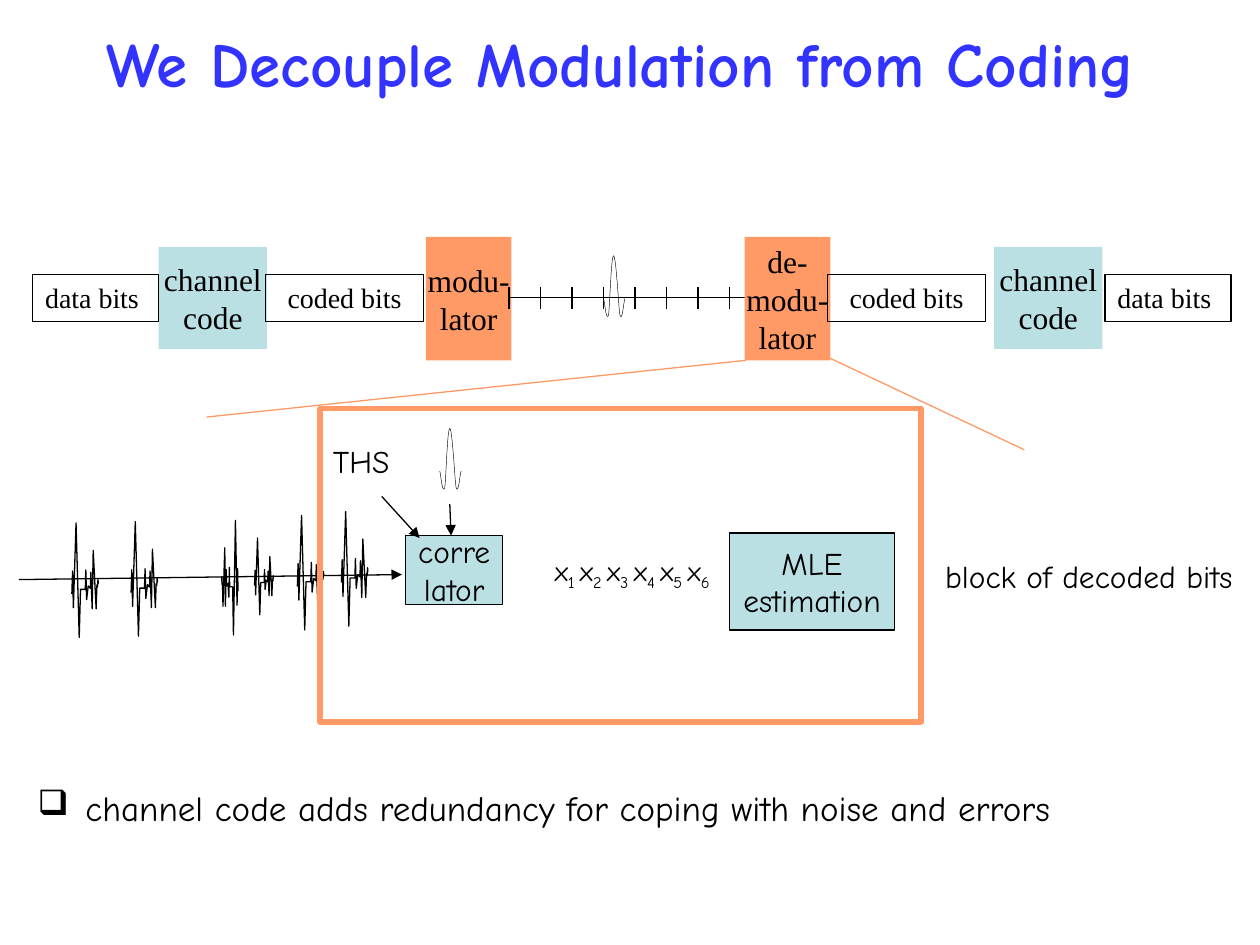
from dataclasses import dataclass

import lxml.etree
import pptx
import pptx.dml.color
import pptx.enum.shapes
import pptx.enum.text
import pptx.oxml.ns
import pptx.util

PX = 9144  # EMU per px, 100 px to the inch
BLACK = pptx.dml.color.RGBColor(0x00, 0x00, 0x00)
BLUE = pptx.dml.color.RGBColor(0x33, 0x33, 0xFF)
TEAL = pptx.dml.color.RGBColor(0xBB, 0xE0, 0xE3)
ORANGE = pptx.dml.color.RGBColor(0xFF, 0x99, 0x66)
COMIC, TIMES = "Comic Neue", "Times New Roman"
LEFT, CENTER, RIGHT = (getattr(pptx.enum.text.PP_ALIGN, n) for n in ("LEFT", "CENTER", "RIGHT"))
TOP, MIDDLE = (getattr(pptx.enum.text.MSO_ANCHOR, n) for n in ("TOP", "MIDDLE"))
qn = pptx.oxml.ns.qn

# Received burst, in percent of its box
BURST = list(zip(
    (0, 3, 6, 16, 28, 33, 51, 53, 56, 62, 70, 72, 77, 81, 92, 95, 97, 99, 100),
    (62, 42, 74, 0, 100, 58, 58, 41, 67, 55, 57, 43, 75, 24, 75, 54, 56, 49, 53)))
# Pulse as Bezier control points in px; each segment starts where the last one ends
PULSE = [(0, 34), (1, 36), (2, 53), (4, 47), (5, 41), (6, 0), (8, 0),
         (10, 0), (12, 41), (13, 47), (15, 53), (16, 36), (17, 34)]


@dataclass
class Box:
    text: str
    x: int
    y: int
    w: int
    h: int
    fill: object = None
    line: object = None
    width: float = 0.75
    font: str = TIMES
    size: int = 18
    align: object = CENTER
    anchor: object = MIDDLE
    wrap: bool = False


@dataclass
class Line:
    x1: int
    y1: int
    x2: int
    y2: int
    color: object = BLACK
    arrow: bool = False


@dataclass
class Burst:
    x: int
    y: int
    w: int = 21
    h: int = 91
    mirrored: bool = False


def set_all(obj, values: dict) -> None:
    for name, value in values.items():
        setattr(obj, name, value)


def style_run(r, font: str, size: int, color=BLACK, bold: bool = False) -> None:
    set_all(r.font, {"name": font, "size": pptx.util.Pt(size), "bold": bold})
    r.font.color.rgb = color


def place(sp, x: int, y: int, w: int, h: int) -> None:
    set_all(sp, {"left": x * PX, "top": y * PX, "width": w * PX, "height": h * PX})


def set_line(line, color, width: float) -> None:
    line.color.rgb = color
    line.width = pptx.util.Pt(width)


def draw_box(s, b: Box):
    area = [v * PX for v in (b.x, b.y, b.w, b.h)]
    if b.fill is None and b.line is None:
        sp = s.shapes.add_textbox(*area)
    else:
        sp = s.shapes.add_shape(pptx.enum.shapes.MSO_SHAPE.RECTANGLE, *area)
        sp.shadow.inherit = False
        if b.fill is None:
            sp.fill.background()
        else:
            sp.fill.solid()
            sp.fill.fore_color.rgb = b.fill
        if b.line is None:
            sp.line.fill.background()
        else:
            set_line(sp.line, b.line, b.width)
    tf = sp.text_frame
    set_all(tf, {"text": b.text, "word_wrap": b.wrap, "vertical_anchor": b.anchor})
    for p in tf.paragraphs:
        p.alignment = b.align
        for r in p.runs:
            style_run(r, b.font, b.size)
    return sp


def draw_line(s, ln: Line) -> None:
    sp = s.shapes.add_connector(pptx.enum.shapes.MSO_CONNECTOR.STRAIGHT,
                                *(v * PX for v in (ln.x1, ln.y1, ln.x2, ln.y2)))
    set_line(sp.line, ln.color, 0.75)
    if ln.arrow:
        lxml.etree.SubElement(sp.line._get_or_add_ln(), qn("a:tailEnd"), type="triangle")
    lxml.etree.SubElement(sp._element.spPr, qn("a:effectLst"))


def draw_outline(s, points: list, width: float) -> None:
    emu = [(round(x * PX), round(y * PX)) for x, y in points]
    builder = s.shapes.build_freeform(*emu[0])
    builder.add_line_segments(emu[1:], close=False)
    sp = builder.convert_to_shape()
    sp.shadow.inherit = False
    sp.fill.background()
    set_line(sp.line, BLACK, width)


def draw_burst(s, b: Burst) -> None:
    draw_outline(s, [(b.x + b.w * (100 - u if b.mirrored else u) / 100, b.y + b.h * v / 100)
                     for u, v in BURST], 0.75)


def draw_pulse(s, x: int, y: int, steps: int = 12) -> None:
    points = [(x + PULSE[0][0], y + PULSE[0][1])]
    for i in range(0, len(PULSE) - 1, 3):
        for k in range(1, steps + 1):
            t = k / steps
            weights = ((1 - t) ** 3, 3 * t * (1 - t) ** 2, 3 * t * t * (1 - t), t ** 3)
            points.append(tuple(o + sum(c * pt[axis] for c, pt in zip(weights, PULSE[i:i + 4]))
                                for axis, o in enumerate((x, y))))
    draw_outline(s, points, 0.25)


def bits(text: str, x: int, w: int, align) -> Box:
    return Box(text, x, 218, w, 37, line=BLACK, size=16, align=align, anchor=TOP, wrap=True)


def draw_title(s) -> None:
    sp = s.shapes.title
    place(sp, 12, 0, 961, 99)
    tf = sp.text_frame
    set_all(tf, {"text": "We Decouple Modulation from Coding", "vertical_anchor": MIDDLE})
    tf.paragraphs[0].alignment = CENTER
    style_run(tf.paragraphs[0].runs[0], COMIC, 36, BLUE, True)


def draw_chain(s) -> None:
    for b in (Box("channel\ncode", 126, 196, 86, 81, TEAL),
              bits("data bits", 26, 100, LEFT),
              bits("coded bits", 211, 125, CENTER),
              Box("modu-\nlator", 338, 188, 68, 98, ORANGE)):
        draw_box(s, b)
    # Time axis with its slots and the pulse
    draw_line(s, Line(404, 236, 591, 236))
    for i in range(8):
        draw_line(s, Line(404 + 25 * i, 228, 404 + 25 * i, 245))
    draw_pulse(s, 479, 203)
    for b in (Box("de-\nmodu-\nlator", 591, 188, 68, 98, ORANGE),
              bits("coded bits", 657, 125, CENTER),
              bits("data bits", 877, 100, LEFT),
              Box("channel\ncode", 789, 196, 86, 81, TEAL)):
        draw_box(s, b)


def draw_demodulator(s) -> None:
    draw_pulse(s, 349, 340)
    draw_box(s, Box("corre\nlator", 322, 425, 77, 55, TEAL, BLACK, font=COMIC))
    for b in (Burst(271, 406), Burst(236, 409), Burst(202, 427, 15, 61),
              Burst(176, 413, 13, 91, True), Burst(104, 414), Burst(57, 415)):
        draw_burst(s, b)
    for b in (Box("THS", 254, 346, 65, 40, font=COMIC, align=RIGHT, anchor=TOP),
              Box("MLE\nestimation", 579, 423, 131, 77, TEAL, BLACK, font=COMIC),
              Box("block of decoded bits", 740, 437, 248, 40, font=COMIC, align=RIGHT, anchor=TOP)):
        draw_box(s, b)
    for ends in ((303, 394, 333, 427), (357, 400, 358, 425), (15, 460, 319, 456)):
        draw_line(s, Line(*ends, arrow=True))
    # Correlator outputs with subscripts
    sp = draw_box(s, Box("", 385, 434, 188, 41, align=RIGHT, anchor=TOP, wrap=True))
    p = sp.text_frame.paragraphs[0]
    for i in range(1, 7):
        for text, baseline in (("x", "0"), (f"{i} " if i < 6 else f"{i}", "-25000")):
            r = p.add_run()
            r.text = text
            style_run(r, COMIC, 16)
            r.font._element.set("baseline", baseline)
    # Enlarged frame and its guide lines
    draw_box(s, Box("", 254, 324, 477, 249, line=ORANGE, width=3))
    draw_line(s, Line(592, 286, 164, 331, ORANGE))
    draw_line(s, Line(658, 284, 813, 357, ORANGE))


def draw_note(s) -> None:
    sp = draw_box(s, Box("channel code adds redundancy for coping with noise and errors",
                         20, 619, 969, 118, font=COMIC, size=20, align=LEFT, anchor=TOP, wrap=True))
    p = sp.text_frame.paragraphs[0]
    p.space_before = pptx.util.Pt(5)
    pPr = p._p.get_or_add_pPr()
    pPr.set("marL", str(38 * PX))
    pPr.set("indent", str(-38 * PX))
    lxml.etree.SubElement(pPr, qn("a:buChar"), char="❑")


def main() -> None:
    prs = pptx.Presentation()
    set_all(prs, {"slide_width": 1000 * PX, "slide_height": 750 * PX})
    s = prs.slides.add_slide(prs.slide_layouts[5])
    for draw in (draw_title, draw_note, draw_chain, draw_demodulator):
        draw(s)
    prs.save("out.pptx")


if __name__ == "__main__":
    main()
